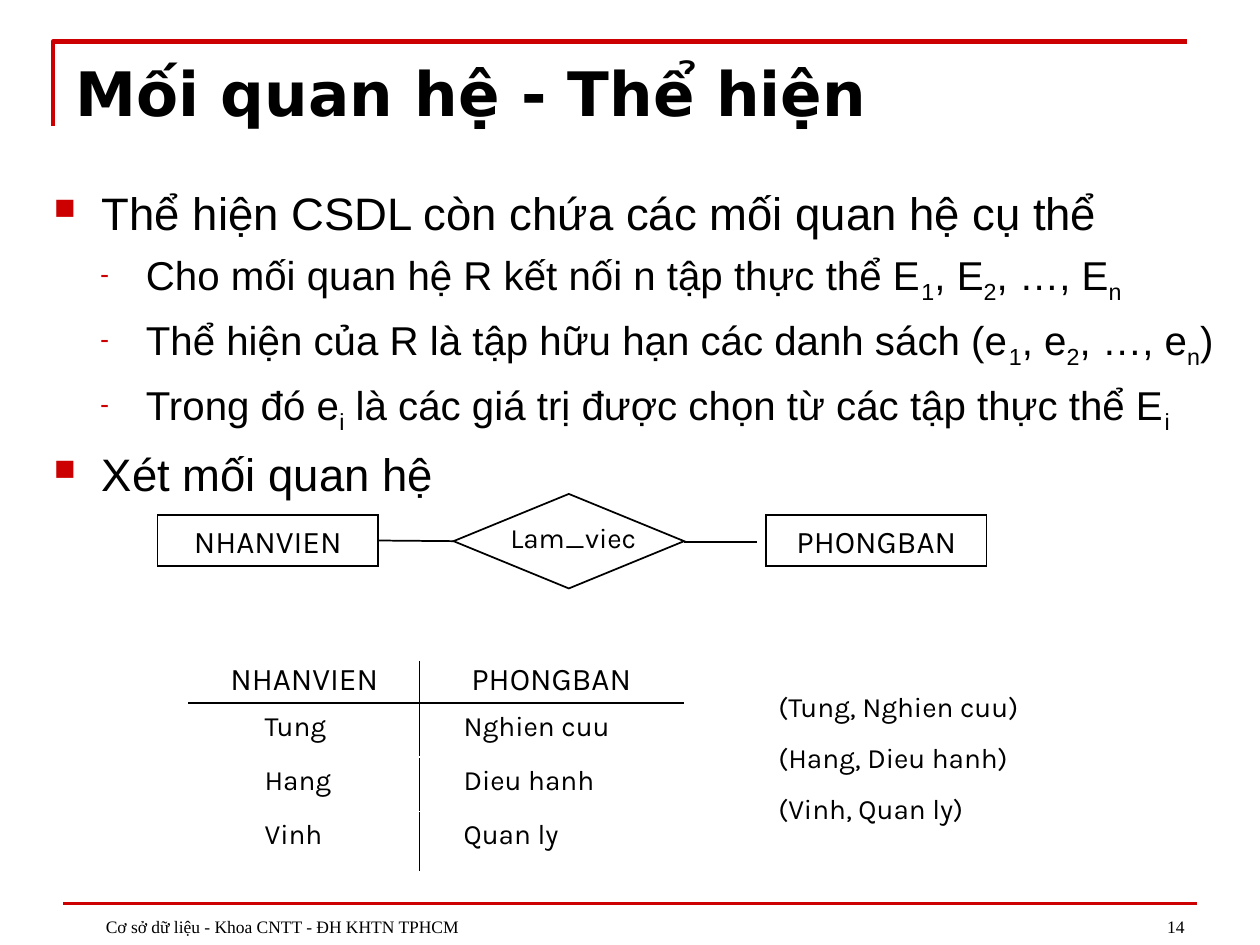
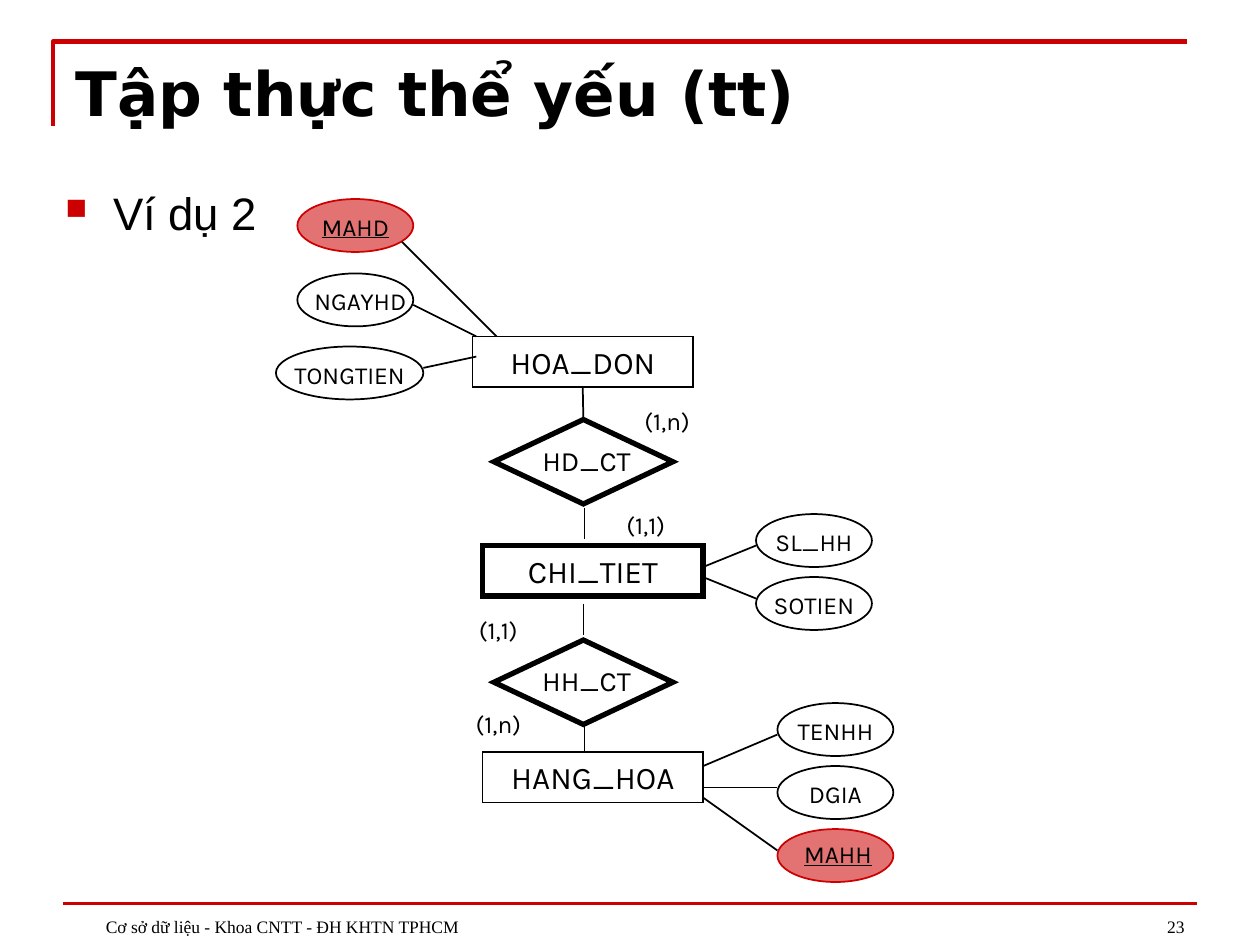
from dataclasses import dataclass
from typing import NamedTuple

from lxml import etree
from pptx import Presentation
from pptx.dml.color import RGBColor
from pptx.enum.shapes import MSO_CONNECTOR, MSO_SHAPE
from pptx.enum.text import MSO_ANCHOR, MSO_AUTO_SIZE, PP_ALIGN
from pptx.oxml.ns import qn
from pptx.util import Inches, Pt

LEFT, CENTER, RIGHT, JUSTIFY = PP_ALIGN.LEFT, PP_ALIGN.CENTER, PP_ALIGN.RIGHT, PP_ALIGN.JUSTIFY
TOP, BOTTOM = MSO_ANCHOR.TOP, MSO_ANCHOR.BOTTOM
RECTANGLE, OVAL, DIAMOND = MSO_SHAPE.RECTANGLE, MSO_SHAPE.OVAL, MSO_SHAPE.FLOWCHART_DECISION
STRAIGHT = MSO_CONNECTOR.STRAIGHT
SIDE_TOP, SIDE_LEFT, SIDE_BOTTOM, SIDE_RIGHT = range(4)

BLACK = "000000"
RED = "CC0000"
FOOTER = "Cơ sở dữ liệu - Khoa CNTT - ĐH KHTN TPHCM"


class Area(NamedTuple):
    left: float
    top: float
    width: float
    height: float


class Face(NamedTuple):
    name: str
    size: int
    bold: bool = False
    underline: bool = False


class Bullet(NamedTuple):
    mark: str
    percent: int
    left: float
    hang: float
    before: float
    size: int


@dataclass
class Attribute:
    name: str
    left: float
    top: float
    width: float = 0.92
    is_key: bool = False
    shift: float = 0
    drop: float = 0.05


TITLE = Face("DejaVu Sans", 35, bold=True)
SMALL = Face("Times New Roman", 10)
ENTITY = Face("Karla", 18)
RELATION = Face("Karla", 16)
ATTRIBUTE = Face("Karla", 14)
KEY = Face("Karla", 14, underline=True)

MAIN = Bullet("■", 65, 0.38, 0.38, 6.5, 26)
SUB = Bullet("-", 60, 0.73, 0.36, 5.8, 23)


def color(value: str) -> RGBColor:
    return RGBColor.from_string(value)


def inches(values) -> list:
    return [Inches(value) for value in values]


def style(para, face: Face, align) -> None:
    para.alignment = align
    para.font.name = face.name
    para.font.size = Pt(face.size)
    para.font.color.rgb = color(BLACK)
    if face.bold:
        para.font.bold = True
    if face.underline:
        para.font.underline = True


def set_frame(frame, anchor=TOP, side_margin: float = 0.1) -> None:
    frame.word_wrap = True
    frame.auto_size = MSO_AUTO_SIZE.NONE
    frame.vertical_anchor = anchor
    frame.margin_left = frame.margin_right = Inches(side_margin)
    frame.margin_top = frame.margin_bottom = Inches(0.05)


def add_label(page, area: Area, lines: list, face: Face, align=CENTER,
              anchor=TOP, side_margin: float = 0.1, before: float = 0):
    frame = page.shapes.add_textbox(*inches(area)).text_frame
    set_frame(frame, anchor, side_margin)
    for index, line in enumerate(lines):
        para = frame.paragraphs[0] if index == 0 else frame.add_paragraph()
        para.text = line
        if before:
            para.space_before = Pt(before)
        style(para, face, align)
    return frame


def add_outline(page, kind, area: Area, weight: float = 1, line: str = BLACK):
    """Add an unfilled preset shape with sharp corners."""
    shape = page.shapes.add_shape(kind, *inches(area))
    shape.shadow.inherit = False
    shape.fill.background()
    shape.line.color.rgb = color(line)
    shape.line.width = Pt(weight)
    outline = shape._element.spPr.find(qn("a:ln"))
    etree.SubElement(outline, qn("a:miter"), lim="800000")
    return shape


def add_line(page, start: tuple, end: tuple, line: str = BLACK, weight: float = 1):
    connector = page.shapes.add_connector(STRAIGHT, *inches(start + end))
    connector.line.color.rgb = color(line)
    connector.line.width = Pt(weight)
    etree.SubElement(connector._element.spPr, qn("a:effectLst"))
    return connector


def add_entity(page, name: str, left: float, top: float, weight: float = 1):
    box = add_outline(page, RECTANGLE, Area(left, top, 1.75, 0.4), weight)
    set_frame(box.text_frame)
    para = box.text_frame.paragraphs[0]
    para.text = name
    style(para, ENTITY, CENTER)
    return box


def add_relation(page, name: str, area: Area, weight: float, label: Area):
    diamond = add_outline(page, DIAMOND, area, weight)
    add_label(page, label, [name], RELATION)
    return diamond


def add_attribute(page, item: Attribute) -> None:
    area = Area(item.left, item.top, item.width, 0.42)
    oval = add_outline(page, OVAL, area, line=RED if item.is_key else BLACK)
    if item.is_key:
        oval.fill.solid()
        oval.fill.fore_color.rgb = color(RED)
        tint = oval._element.spPr.find(qn("a:solidFill"))[0]
        etree.SubElement(tint, qn("a:alpha"), val="55000")
    label = Area(item.left + item.shift, item.top + item.drop, item.width, 0.34)
    add_label(page, label, [item.name], KEY if item.is_key else ATTRIBUTE, side_margin=0)


def add_bullets(page, area: Area, items: list) -> None:
    """Write bulleted lines; text between bars is subscript."""
    frame = page.shapes.add_textbox(*inches(area)).text_frame
    set_frame(frame)
    for index, (bullet, text) in enumerate(items):
        para = frame.paragraphs[0] if index == 0 else frame.add_paragraph()
        props = para._p.get_or_add_pPr()
        props.set("marL", str(Inches(bullet.left)))
        props.set("indent", str(-Inches(bullet.hang)))
        tint = etree.SubElement(props, qn("a:buClr"))
        etree.SubElement(tint, qn("a:srgbClr"), val=RED)
        etree.SubElement(props, qn("a:buSzPct"), val=str(bullet.percent * 1000))
        etree.SubElement(props, qn("a:buChar"), char=bullet.mark)
        para.space_before = Pt(bullet.before)
        style(para, Face("Arial", bullet.size), JUSTIFY)
        for position, part in enumerate(text.split("|")):
            if part:
                span = para.add_run()
                span.text = part
                if position % 2:
                    span._r.get_or_add_rPr().set("baseline", "-25000")


def add_page(deck, title: str, number: str):
    """Add a slide with the shared frame, title and footer."""
    page = deck.slides.add_slide(deck.slide_layouts[5])
    builder = page.shapes.build_freeform(*inches((0.42, 1)), scale=1.0)
    builder.add_line_segments([inches((0.42, 0.33)), inches((9.42, 0.33))], close=False)
    corner = builder.convert_to_shape()
    corner.shadow.inherit = False
    corner.fill.background()
    corner.line.color.rgb = color(RED)
    corner.line.width = Pt(2.5)
    add_line(page, (0.5, 7.17), (9.5, 7.17), RED, 2)

    heading = page.shapes.title
    heading.left, heading.top, heading.width, heading.height = inches((0.5, 0.39, 9, 0.68))
    set_frame(heading.text_frame)
    para = heading.text_frame.paragraphs[0]
    para.text = title
    style(para, TITLE, LEFT)

    add_label(page, Area(7.17, 6.99, 2.33, 0.5), [number], SMALL, RIGHT, BOTTOM)
    footer = add_label(page, Area(0.5, 6.99, 6.08, 0.5), [FOOTER], SMALL, LEFT, BOTTOM)
    footer.margin_left = Inches(0.34)
    return page


def rule_cell(cell, sides: list) -> None:
    """Draw black borders on the named sides and clear the fill."""
    props = cell._tc.get_or_add_tcPr()
    for side in sides:
        border = etree.SubElement(props, qn(f"a:{side}"), w=str(Pt(1)))
        fill = etree.SubElement(border, qn("a:solidFill"))
        etree.SubElement(fill, qn("a:srgbClr"), val=BLACK)
    cell.fill.background()


def add_pairs_table(page, rows: list) -> None:
    table = page.shapes.add_table(len(rows), 2, *inches((1.5, 5.25, 3.92, 1.67))).table
    table.first_row = table.horz_banding = False
    for column, width in zip(table.columns, (1.83, 2.09)):
        column.width = Inches(width)
    for row, height in zip(table.rows, (0.33, 0.43, 0.43, 0.48)):
        row.height = Inches(height)
    for row, names in enumerate(rows):
        for column, name in enumerate(names):
            cell = table.cell(row, column)
            is_head = row == 0
            sides = ["lnL" if column else "lnR"]
            if row < 2:
                sides.append("lnB" if is_head else "lnT")
            rule_cell(cell, sides)
            cell.margin_left = Inches(0 if is_head else (0.6, 0.35)[column])
            cell.margin_top = Inches(0 if is_head else 0.06)
            cell.margin_right = cell.margin_bottom = 0
            para = cell.text_frame.paragraphs[0]
            para.text = name
            style(para, ENTITY if is_head else RELATION, CENTER if is_head else LEFT)


def build_relationship(deck) -> None:
    page = add_page(deck, "Mối quan hệ - Thể hiện", "14")
    add_bullets(page, Area(0.33, 1.42, 9.5, 5.58), [
        (MAIN, "Thể hiện CSDL còn chứa các mối quan hệ cụ thể"),
        (SUB, "Cho mối quan hệ R kết nối n tập thực thể E|1|, E|2|, …, E|n|"),
        (SUB, "Thể hiện của R là tập hữu hạn các danh sách (e|1|, e|2|, …, e|n|)"),
        (SUB, "Trong đó e|i| là các giá trị được chọn từ các tập thực thể E|i|"),
        (MAIN, "Xét mối quan hệ"),
    ])
    pairs = [("Tung", "Nghien cuu"), ("Hang", "Dieu hanh"), ("Vinh", "Quan ly")]
    add_pairs_table(page, [("NHANVIEN", "PHONGBAN")] + pairs)
    add_label(page, Area(6.08, 5.42, 2.67, 1.18),
              [f"({person}, {office})" for person, office in pairs], RELATION, LEFT, before=10)

    works = add_relation(page, "Lam_viec", Area(3.6, 3.92, 1.83, 0.75), 1,
                         Area(3.76, 4.08, 1.58, 0.37))
    employee = add_entity(page, "NHANVIEN", 1.25, 4.09)
    add_entity(page, "PHONGBAN", 6.08, 4.09)
    link = add_line(page, (3, 4.3), (3.6, 4.3))
    link.begin_connect(employee, SIDE_RIGHT)
    link.end_connect(works, SIDE_LEFT)
    add_line(page, (5.43, 4.3), (6.01, 4.3))


def build_weak_entity(deck) -> None:
    page = add_page(deck, "Tập thực thể yếu (tt)", "23")
    add_bullets(page, Area(0.42, 1.42, 9.17, 5.58), [(MAIN, "Ví dụ 2")])

    invoice = add_entity(page, "HOA_DON", 3.75, 2.67)
    add_entity(page, "CHI_TIET", 3.83, 4.33, 3)
    add_entity(page, "HANG_HOA", 3.83, 5.97)
    invoice_detail, _ = [
        add_relation(page, name, Area(3.92, top, 1.42, 0.67), 3, Area(4.03, top + 0.14, 1.25, 0.37))
        for name, top in (("HD_CT", 3.33), ("HH_CT", 5.08))
    ]
    for item in (
        Attribute("MAHD", 2.36, 1.58, is_key=True),
        Attribute("NGAYHD", 2.36, 2.17, shift=0.04),
        Attribute("TONGTIEN", 2.19, 2.75, width=1.17, drop=0.06),
        Attribute("SL_HH", 6, 4.08),
        Attribute("SOTIEN", 6, 4.58),
        Attribute("TENHH", 6.17, 5.58),
        Attribute("DGIA", 6.17, 6.08),
        Attribute("MAHH", 6.17, 6.58, is_key=True, shift=0.02, drop=0.03),
    ):
        add_attribute(page, item)
    for start, end in (
        ((3.94, 2.67), (3.19, 1.92)), ((3.78, 2.67), (3.28, 2.42)), ((3.78, 2.83), (3.36, 2.92)),
        ((5.58, 4.5), (6, 4.33)), ((5.58, 4.58), (6, 4.75)),
        ((5.58, 6.08), (6.17, 5.83)), ((5.58, 6.25), (6.17, 6.25)), ((5.58, 6.33), (6.17, 6.75)),
    ):
        add_line(page, start, end)
    for text, left, top in (("(1,n)", 4.92, 3.17), ("(1,1)", 4.75, 4),
                            ("(1,1)", 3.58, 4.83), ("(1,n)", 3.58, 5.58)):
        add_label(page, Area(left, top, 0.75, 0.34), [text], ATTRIBUTE)

    link = add_line(page, (4.62, 3.07), (4.62, 3.33))
    link.begin_connect(invoice, SIDE_BOTTOM)
    link.end_connect(invoice_detail, SIDE_TOP)
    for x, top in ((4.64, 4.03), (4.63, 4.79), (4.64, 5.72)):
        add_line(page, (x, top), (x, top + 0.25))


def main() -> None:
    deck = Presentation()
    deck.slide_width, deck.slide_height = inches((10, 7.5))
    build_relationship(deck)
    build_weak_entity(deck)
    deck.save("out.pptx")


if __name__ == "__main__":
    main()
